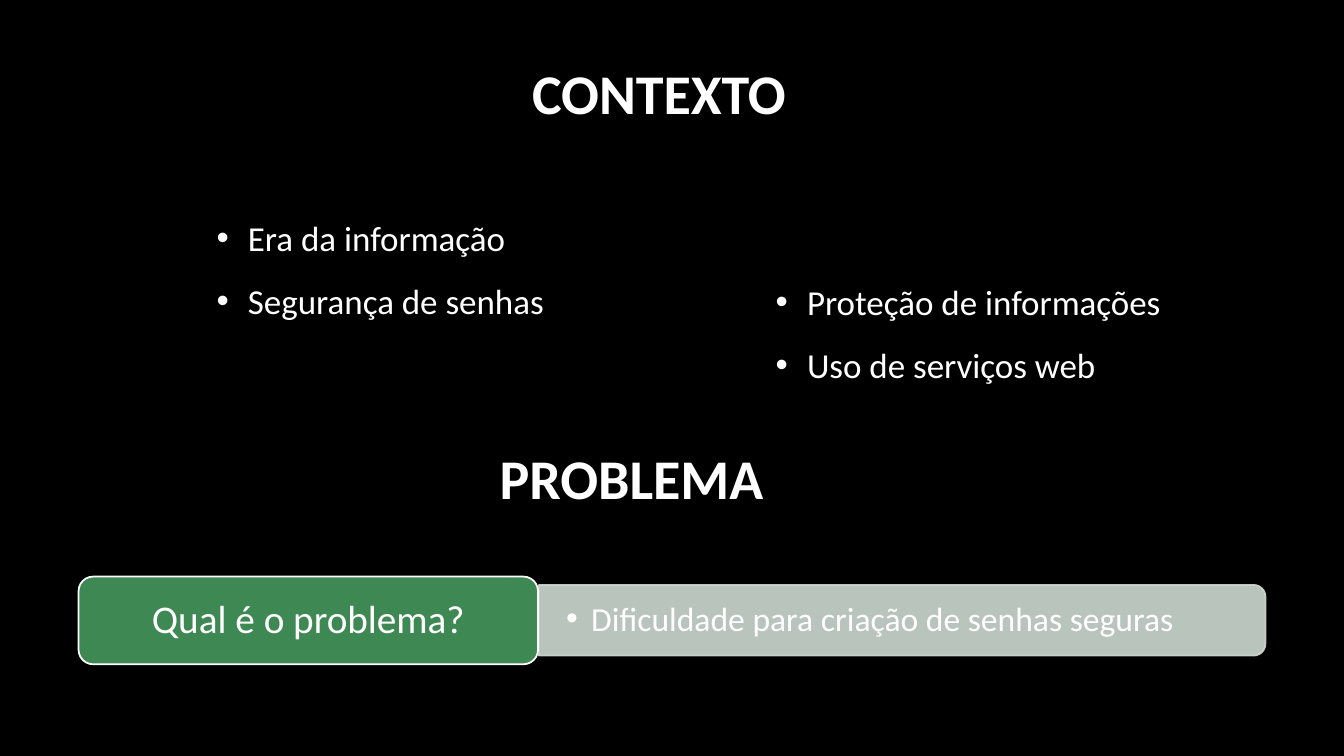
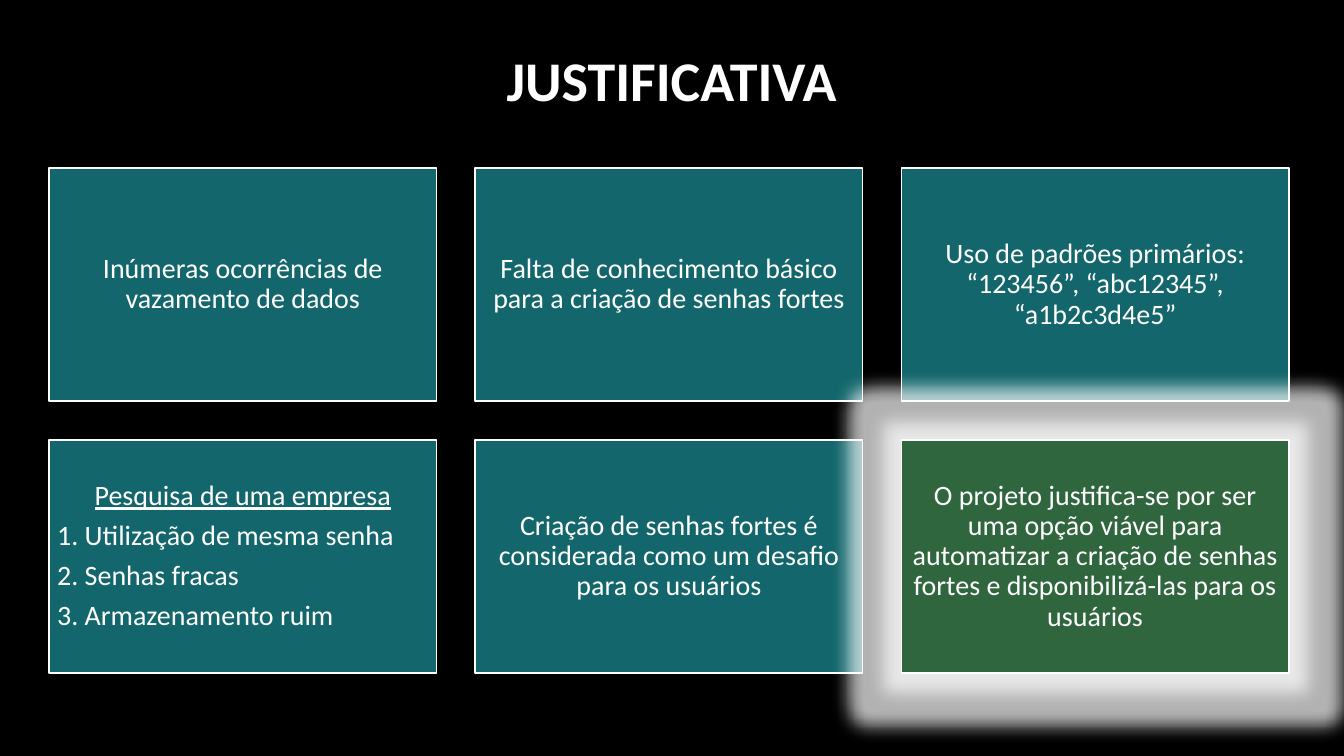
from lxml import etree
from pptx import Presentation, util as u
from pptx.dml.color import RGBColor
from pptx.enum import shapes, text
from pptx.oxml.ns import qn

Cm, Pt = u.Cm, u.Pt
BLACK = RGBColor(0x00, 0x00, 0x00)
WHITE = RGBColor(0xFF, 0xFF, 0xFF)
GREEN = RGBColor(0x3E, 0x88, 0x53)
DARK_GREEN = RGBColor(0x2F, 0x66, 0x3E)
TEAL = RGBColor(0x13, 0x67, 0x6C)
MIST = RGBColor(0xCE, 0xDA, 0xD1)
FONT = "Calibri"
CENTER, LEFT = text.PP_ALIGN.CENTER, text.PP_ALIGN.LEFT
MIDDLE, TOP = text.MSO_ANCHOR.MIDDLE, text.MSO_ANCHOR.TOP

# Boxes are left, top, width, height in centimetres
CONTEXT_TITLE = ("CONTEXTO", (11.79, 1.65, 9.63, 1.55))
PROBLEM_TITLE = ("PROBLEMA", (2.16, 11.02, 27.51, 2.24))
REASON_TITLE = ("JUSTIFICATIVA", (3.17, 1.22, 27.51, 1.78))

CONTEXT_COLUMNS = [
    (["Era da informação", "Segurança de senhas"], (5.21, 4.8, 13.8, 3.6)),
    (["Proteção de informações", "Uso de serviços web"], (19.3, 6.4, 13.8, 3.6)),
]
QUESTION = ("Qual é o problema?", (1.98, 14.53, 11.58, 2.21))
ANSWER = ("Dificuldade para criação de senhas seguras", (13.58, 14.74, 18.31, 1.78))

CARDS = [
    ["Inúmeras ocorrências de vazamento de dados"],
    ["Falta de conhecimento básico para a criação de senhas fortes"],
    ["Uso de padrões primários: “123456”, “abc12345”, “a1b2c3d4e5”"],
    ["Pesquisa de uma empresa", "1. Utilização de mesma senha",
     "2. Senhas fracas", "3. Armazenamento ruim"],
    ["Criação de senhas fortes é considerada como um desafio para os usuários"],
    ["O projeto justifica-se por ser uma opção viável para automatizar a "
     "criação de senhas fortes e disponibilizá-las para os usuários"],
]
CARD_COLUMNS = 3
CARD_LEFT, CARD_TOP, CARD_WIDTH, CARD_HEIGHT, CARD_GAP = 1.24, 4.24, 9.76, 5.87, 0.98


def add_slide(deck):
    page = deck.slides.add_slide(deck.slide_layouts[6])
    page.background.fill.solid()
    page.background.fill.fore_color.rgb = BLACK
    return page


def write(shape, lines, size, align=CENTER, anchor=MIDDLE, spacing=0.9,
          after=0, inset=(0.25, 0.13), bold=False, bullet_indent=None):
    """Fill a shape with paragraphs; inset is (sides, top and bottom) in cm."""
    frame = shape.text_frame
    frame.word_wrap = True
    frame.vertical_anchor = anchor
    frame.margin_left = frame.margin_right = Cm(inset[0])
    frame.margin_top = frame.margin_bottom = Cm(inset[1])
    for index, line in enumerate(lines):
        para = frame.paragraphs[0] if index == 0 else frame.add_paragraph()
        para.text = line
        para.alignment = align
        para.line_spacing = spacing
        para.space_after = Pt(after)
        para.font.name, para.font.size = FONT, Pt(size)
        para.font.bold = bold
        para.font.color.rgb = WHITE
        if bullet_indent:
            add_bullet(para, Cm(bullet_indent))
    return frame


def add_bullet(para, indent):
    properties = para._p.get_or_add_pPr()
    properties.set("marL", str(indent))
    properties.set("indent", str(-indent))
    bullet_font = etree.Element(qn("a:buFont"), typeface="Arial")
    bullet = etree.Element(qn("a:buChar"), char="•")
    defaults = properties.find(qn("a:defRPr"))
    for element in (bullet_font, bullet):
        if defaults is None:
            properties.append(element)
        else:
            defaults.addprevious(element)


def add_text(page, box, lines, size, **style):
    shape = page.shapes.add_textbox(*map(Cm, box))
    return write(shape, lines, size, **style)


def add_title(page, title, box):
    add_text(page, box, [title], 40, bold=True)


def add_panel(page, kind, box, fill, line=WHITE):
    panel = page.shapes.add_shape(kind, *map(Cm, box))
    panel.shadow.inherit = False
    panel.fill.solid()
    panel.fill.fore_color.rgb = fill
    panel.line.color.rgb = line
    panel.line.width = Pt(1.25)
    return panel


def set_opacity(shape, percent):
    """Make the fill and the line of a shape partly transparent."""
    for color in shape._element.spPr.iter(qn("a:srgbClr")):
        etree.SubElement(color, qn("a:alpha"), val=str(percent * 1000))


def add_glow(shape, radius, percent):
    effects = shape._element.spPr.find(qn("a:effectLst"))
    glow = etree.SubElement(effects, qn("a:glow"), rad=str(radius))
    color = etree.SubElement(glow, qn("a:srgbClr"), val=str(WHITE))
    etree.SubElement(color, qn("a:alpha"), val=str(percent * 1000))


def build_context(deck):
    page = add_slide(deck)
    add_title(page, *CONTEXT_TITLE)
    for lines, box in CONTEXT_COLUMNS:
        add_text(page, box, lines, 25, align=LEFT, anchor=TOP,
                 spacing=1.5, bullet_indent=0.79)
    add_title(page, *PROBLEM_TITLE)

    answer, (left, top, width, height) = ANSWER
    turned_box = (left + (width - height) / 2, top - (width - height) / 2, height, width)
    bar = add_panel(page, shapes.MSO_SHAPE.ROUND_2_SAME_RECTANGLE, turned_box, MIST, MIST)
    bar.rotation = 90
    set_opacity(bar, 90)
    add_text(page, (left, top, width, height), [answer], 24, align=LEFT,
             inset=(0.69, 0.36), bullet_indent=0.63)

    question, box = QUESTION
    panel = add_panel(page, shapes.MSO_SHAPE.ROUNDED_RECTANGLE, box, GREEN)
    write(panel, [question], 28, inset=(0.4, 0.25))


def build_reasons(deck):
    page = add_slide(deck)
    add_title(page, *REASON_TITLE)
    for index, lines in enumerate(CARDS):
        row, column = divmod(index, CARD_COLUMNS)
        is_conclusion = index == len(CARDS) - 1
        box = (CARD_LEFT + column * (CARD_WIDTH + CARD_GAP),
               CARD_TOP + row * (CARD_HEIGHT + CARD_GAP), CARD_WIDTH, CARD_HEIGHT)
        card = add_panel(page, shapes.MSO_SHAPE.RECTANGLE, box,
                         DARK_GREEN if is_conclusion else TEAL)
        frame = write(card, lines, 20, after=7, inset=(0.2, 0.2))
        if is_conclusion:
            add_glow(card, Pt(25), 70)
        if len(lines) > 1:
            heading, *items = frame.paragraphs
            heading.font.underline = True
            for item in items:
                item.alignment = LEFT


def main():
    deck = Presentation()
    deck.slide_width, deck.slide_height = Cm(33.87), Cm(19.05)
    build_context(deck)
    build_reasons(deck)
    deck.save("out.pptx")


if __name__ == "__main__":
    main()
